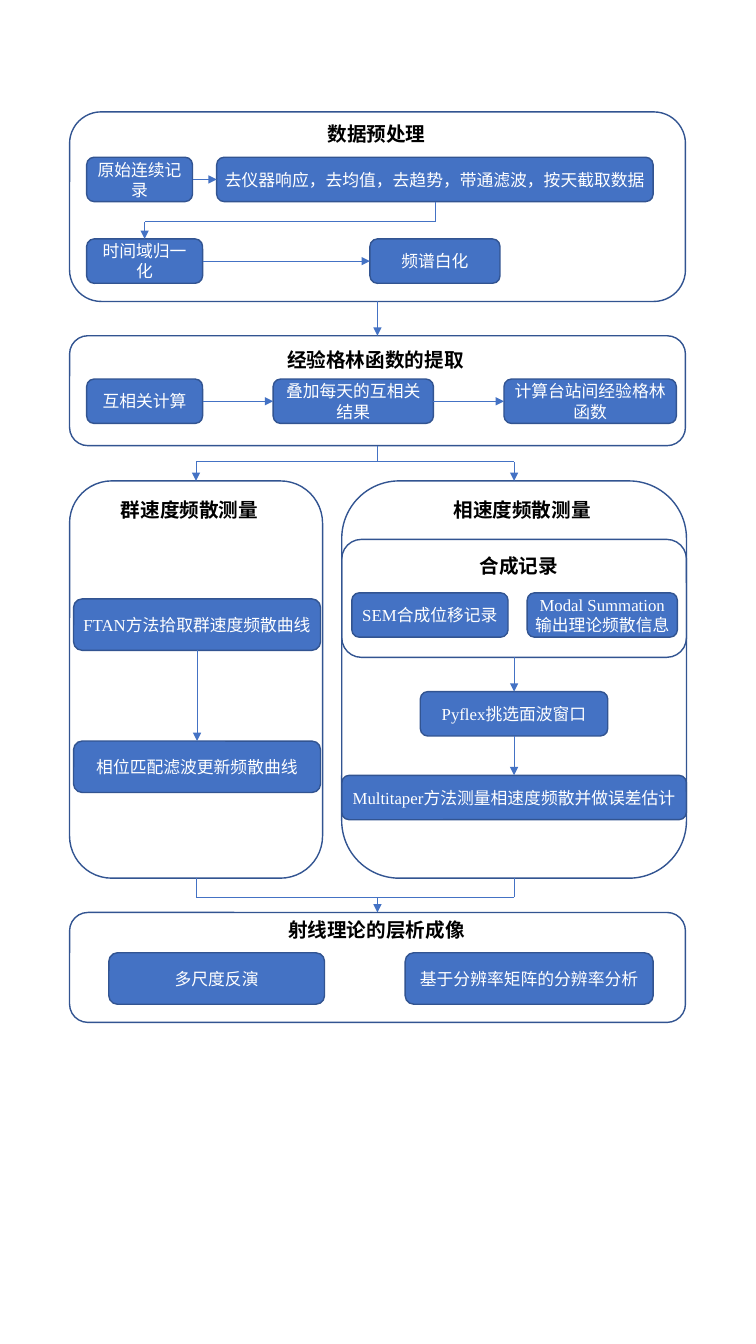
from dataclasses import dataclass

from lxml.etree import SubElement
from pptx import Presentation
from pptx.dml.color import RGBColor as RGB
from pptx.enum.shapes import MSO_CONNECTOR as CONN, MSO_SHAPE as SHAPE
from pptx.enum.text import MSO_ANCHOR as ANCHOR, PP_ALIGN as ALIGN
from pptx.oxml.ns import qn
from pptx.shapes.autoshape import Shape
from pptx.slide import Slide
from pptx.text.text import TextFrame
from pptx.util import Inches, Pt

WIDTH, HEIGHT = Inches(7.5), Inches(13.33)
COL, ROW = WIDTH / 75, HEIGHT / 133.3  # fine grid: 75 columns by 133.3 rows

Point = tuple[float, float]


@dataclass(frozen=True)
class Theme:
    font: str = "Times New Roman"
    fill: RGB = RGB(0x44, 0x72, 0xC4)
    outline: RGB = RGB(0x32, 0x54, 0x91)
    step_text: RGB = RGB(0xFF, 0xFF, 0xFF)
    heading_text: RGB = RGB(0, 0, 0)
    step_size: Pt = Pt(12)
    heading_size: Pt = Pt(14)
    outline_width: Pt = Pt(1)
    link_width: Pt = Pt(0.5)
    side_margin: Pt = Pt(4)
    end_margin: Pt = Pt(2)


THEME = Theme()


@dataclass(frozen=True)
class Box:
    """A rounded box in columns and rows; a step has text, a panel has none."""
    x: float
    y: float
    w: float
    h: float
    text: str = ""

    @property
    def cx(self) -> float:
        return self.x + self.w / 2

    @property
    def top(self) -> Point:
        return self.cx, self.y

    @property
    def bottom(self) -> Point:
        return self.cx, self.y + self.h

    @property
    def left(self) -> Point:
        return self.x, self.y + self.h / 2

    @property
    def right(self) -> Point:
        return self.x + self.w, self.y + self.h / 2


@dataclass(frozen=True)
class Heading:
    x: float
    y: float
    w: float
    text: str
    h: float = 3.4


@dataclass(frozen=True)
class Route:
    """A line through points, with an arrowhead at its end."""
    points: tuple[Point, ...]
    arrow: bool = True


# Panels
MARGIN, FULL = 6.9, 61.1
prepare = Box(MARGIN, 11.1, FULL, 18.8)
extract = Box(MARGIN, 33.3, FULL, 10.9)
group = Box(MARGIN, 47.7, 25.1, 39.4)
phase = Box(33.9, 47.7, 34.2, 39.4)
synthetic = Box(phase.x, 53.5, phase.w, 11.7)
tomography = Box(MARGIN, 90.5, FULL, 10.9)
PANELS = [prepare, extract, group, phase, synthetic, tomography]

# Steps
LOW, TALL = 4.4, 5.1
raw = Box(8.6, 15.6, 10.5, LOW, "原始连续记录")
clean = Box(21.5, 15.6, 43.3, LOW, "去仪器响应，去均值，去趋势，带通滤波，按天截取数据")
normalize = Box(8.6, 23.7, 11.5, LOW, "时间域归一化")
whiten = Box(36.7, 23.7, 12.9, LOW, "频谱白化")
correlate = Box(8.6, 37.6, 11.5, LOW, "互相关计算")
stack = Box(27.1, 37.6, 15.9, LOW, "叠加每天的互相关结果")
green = Box(50, 37.6, 17.1, LOW, "计算台站间经验格林函数")
ftan = Box(7.3, 59.4, 24.5, TALL, "FTAN方法拾取群速度频散曲线")
match = Box(7.3, 73.5, 24.5, TALL, "相位匹配滤波更新频散曲线")
sem = Box(34.9, 58.8, 15.5, LOW, "SEM合成位移记录")
modal = Box(52.3, 58.8, 14.9, LOW, "Modal Summation输出理论频散信息")
pyflex = Box(41.7, 68.6, 18.6, LOW, "Pyflex挑选面波窗口")
multitaper = Box(phase.x, 76.9, phase.w, LOW, "Multitaper方法测量相速度频散并做误差估计")
invert = Box(10.8, 94.5, 21.4, TALL, "多尺度反演")
resolution = Box(40.2, 94.5, 24.6, TALL, "基于分辨率矩阵的分辨率分析")
STEPS = [raw, clean, normalize, whiten, correlate, stack, green, ftan, match,
         sem, modal, pyflex, multitaper, invert, resolution]

HEADINGS = [
    Heading(31.5, 11.6, 12, "数据预处理"),
    Heading(27.5, 34, 20, "经验格林函数的提取"),
    Heading(11, 48.9, 16, "群速度频散测量"),
    Heading(44, 48.9, 16, "相速度频散测量"),
    Heading(46.6, 54.4, 9.9, "合成记录"),
    Heading(27.6, 90.5, 19.7, "射线理论的层析成像"),
]

# Links: the turns run level at these rows
TURN, FORK, MERGE = 22, 45.8, 89
ROUTES = [
    Route((raw.right, clean.left)),
    Route((clean.bottom, (clean.cx, TURN), (normalize.cx, TURN), normalize.top)),
    Route((normalize.right, whiten.left)),
    Route((prepare.bottom, extract.top)),
    Route((correlate.right, stack.left)),
    Route((stack.right, green.left)),
    Route((extract.bottom, (extract.cx, FORK), (group.cx, FORK), group.top)),
    Route(((extract.cx, FORK), (phase.cx, FORK), phase.top)),
    Route((ftan.bottom, match.top)),
    Route((synthetic.bottom, pyflex.top)),
    Route((pyflex.bottom, multitaper.top)),
    Route((group.bottom, (group.cx, MERGE), (tomography.cx, MERGE), tomography.top)),
    Route((phase.bottom, (phase.cx, MERGE), (tomography.cx, MERGE)), arrow=False),
]


def place(x: float, y: float) -> tuple[int, int]:
    return round(x * COL), round(y * ROW)


def write(tf: TextFrame, text: str, size: Pt, color: RGB, bold: bool = False) -> None:
    tf.text = text
    font = tf.paragraphs[0].runs[0].font
    font.name, font.size, font.bold = THEME.font, size, bold
    font.color.rgb = color


def draw_box(slide: Slide, box: Box) -> Shape:
    sp = slide.shapes.add_shape(SHAPE.ROUNDED_RECTANGLE,
                                *place(box.x, box.y), *place(box.w, box.h))
    sp.shadow.inherit = False
    sp.fill.background()
    sp.line.color.rgb, sp.line.width = THEME.outline, THEME.outline_width
    return sp


def draw_step(slide: Slide, step: Box) -> None:
    sp = draw_box(slide, step)
    sp.fill.solid()
    sp.fill.fore_color.rgb = THEME.fill
    tf = sp.text_frame
    tf.word_wrap, tf.vertical_anchor = True, ANCHOR.MIDDLE
    tf.margin_left = tf.margin_right = THEME.side_margin
    tf.margin_top = tf.margin_bottom = THEME.end_margin
    write(tf, step.text, THEME.step_size, THEME.step_text)
    tf.paragraphs[0].alignment = ALIGN.CENTER


def draw_heading(slide: Slide, head: Heading) -> None:
    sp = slide.shapes.add_textbox(*place(head.x, head.y), *place(head.w, head.h))
    sp.text_frame.word_wrap = False
    write(sp.text_frame, head.text, THEME.heading_size, THEME.heading_text, bold=True)


def draw_route(slide: Slide, route: Route) -> None:
    for start, end in zip(route.points, route.points[1:]):
        line = slide.shapes.add_connector(CONN.STRAIGHT, *place(*start), *place(*end))
        line.line.color.rgb, line.line.width = THEME.fill, THEME.link_width
        if route.arrow and end == route.points[-1]:
            SubElement(line._element.spPr.find(qn("a:ln")), qn("a:tailEnd"), type="triangle")
        SubElement(line._element.spPr, qn("a:effectLst"))


def main() -> None:
    prs = Presentation()
    prs.slide_width, prs.slide_height = WIDTH, HEIGHT
    slide = prs.slides.add_slide(prs.slide_layouts[6])
    for draw, items in ((draw_step, STEPS), (draw_box, PANELS),
                        (draw_heading, HEADINGS), (draw_route, ROUTES)):
        for item in items:
            draw(slide, item)
    prs.save("out.pptx")


if __name__ == "__main__":
    main()
